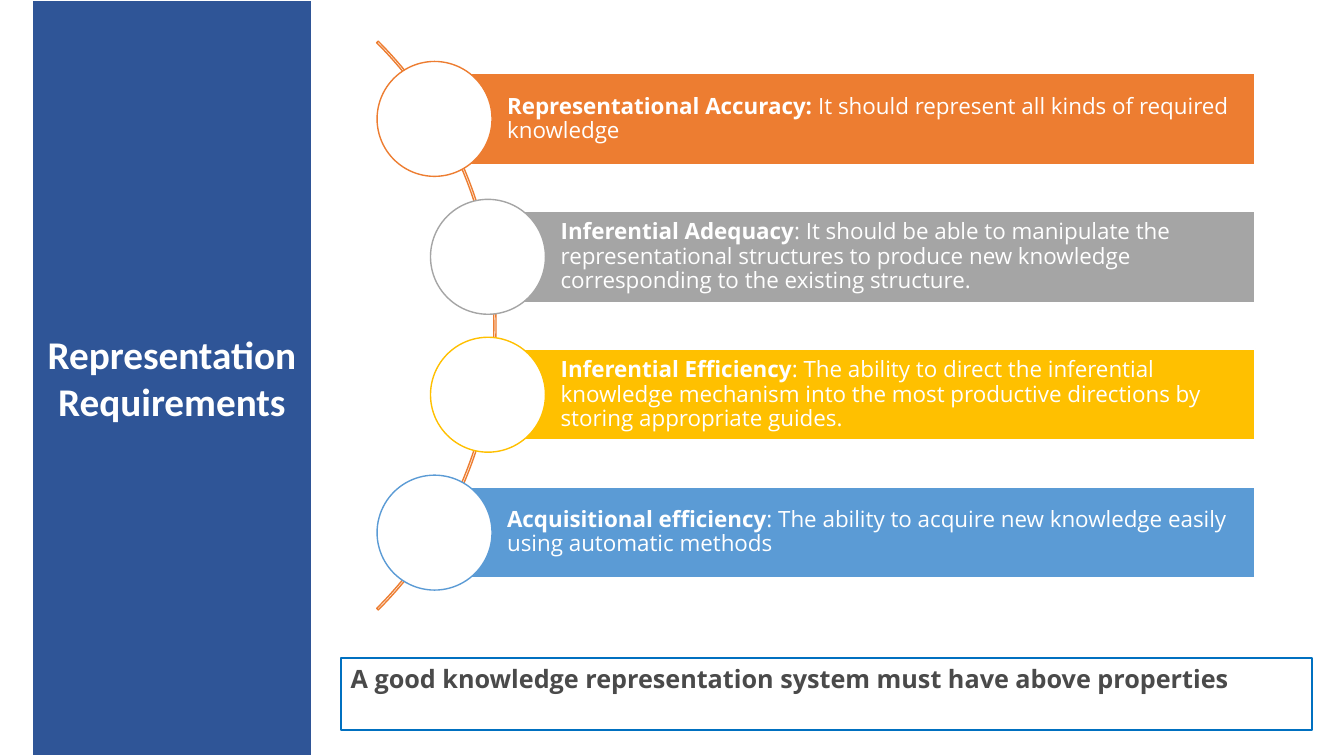
from pptx import Presentation
from pptx.dml.color import RGBColor
from pptx.enum.shapes import MSO_SHAPE
from pptx.enum.text import MSO_ANCHOR, MSO_AUTO_SIZE, PP_ALIGN
from pptx.util import Inches, Pt

RECT, OVAL, ARC = MSO_SHAPE.RECTANGLE, MSO_SHAPE.OVAL, MSO_SHAPE.BLOCK_ARC
MIDDLE = MSO_ANCHOR.MIDDLE
CENTER, JUSTIFY, LEFT = PP_ALIGN.CENTER, PP_ALIGN.JUSTIFY, PP_ALIGN.LEFT
FIT, GROW = MSO_AUTO_SIZE.TEXT_TO_FIT_SHAPE, MSO_AUTO_SIZE.SHAPE_TO_FIT_TEXT
WHITE = RGBColor(0xFF, 0xFF, 0xFF)
NAVY = RGBColor(0x2F, 0x55, 0x97)
BLUE = RGBColor(0x00, 0x70, 0xC0)
DARK = RGBColor(0x4A, 0x4A, 0x4A)
ORANGE = RGBColor(0xED, 0x7D, 0x31)
GRAY = RGBColor(0xA5, 0xA5, 0xA5)
GOLD = RGBColor(0xFF, 0xC0, 0x00)
SKY = RGBColor(0x5B, 0x9B, 0xD5)

prs = Presentation()
prs.slide_width, prs.slide_height = Inches(13.33), Inches(7.5)
s = prs.slides.add_slide(prs.slide_layouts[6])


def add_shape(kind, x, y, w, h, fill, line, width):
    sp = s.shapes.add_shape(kind, Inches(x), Inches(y), Inches(w), Inches(h))
    sp.shadow.inherit = False
    if fill is None:
        sp.fill.background()
    else:
        sp.fill.solid()
        sp.fill.fore_color.rgb = fill
    sp.line.color.rgb = line
    sp.line.width = Pt(width)
    return sp


def add_run(p, text, size, font, color, bold):
    r = p.add_run()
    r.text = text
    r.font.size, r.font.name, r.font.bold = Pt(size), font, bold
    r.font.color.rgb = color


PANEL_X, PANEL_W = 0.32, 2.77
add_shape(RECT, PANEL_X, 0, PANEL_W, 7.5, NAVY, WHITE, 1)
title = s.shapes.add_textbox(Inches(PANEL_X), Inches(3.23), Inches(PANEL_W), Inches(1.04))
tf = title.text_frame
tf.word_wrap, tf.auto_size = True, GROW
p = tf.paragraphs[0]
p.alignment = CENTER
add_run(p, "Representation Requirements", 28, "Calibri", WHITE, True)

sp = add_shape(RECT, 3.38, 6.53, 9.63, 0.71, None, BLUE, 1.5)
tf = sp.text_frame
tf.word_wrap, tf.auto_size, tf.vertical_anchor = True, GROW, MSO_ANCHOR.TOP
p = tf.paragraphs[0]
p.alignment = JUSTIFY
add_run(p, "A good knowledge representation system must have above properties",
        18, "Open Sans", DARK, True)

arc = add_shape(ARC, -3.06, -0.76, 7.98, 7.98, None, ORANGE, 1)
for i, value in enumerate((189, 27, 0.0027)):
    arc.adjustments[i] = value

REQUIREMENTS = [
    ("Representational Accuracy:", "\N{NO-BREAK SPACE}It should represent all kinds of required knowledge", ORANGE, 0),
    ("Inferential Adequacy", ": It should be able to manipulate the representational structures to produce new knowledge corresponding to the existing structure.", GRAY, 1),
    ("Inferential Efficiency", ": The ability to direct the inferential knowledge mechanism into the most productive directions by storing appropriate guides.", GOLD, 1),
    ("Acquisitional efficiency", ": The ability to acquire new knowledge easily using automatic methods", SKY, 0),
]
TOP, PITCH, INDENT, RIGHT = 1.18, 1.368, 0.53, 12.45
BAR_H, CIRCLE = 0.91, 1.14
for row, (name, meaning, color, level) in enumerate(REQUIREMENTS):
    x, y = 4.31 + level * INDENT, TOP + row * PITCH
    bar = add_shape(RECT, x, y - BAR_H / 2, RIGHT - x, BAR_H, color, WHITE, 1.5)
    tf = bar.text_frame
    tf.word_wrap, tf.auto_size, tf.vertical_anchor = True, FIT, MIDDLE
    tf.margin_left = Inches(0.72)
    tf.margin_right = tf.margin_top = tf.margin_bottom = Inches(0.04)
    p = tf.paragraphs[0]
    p.alignment, p.line_spacing = LEFT, 0.9
    add_run(p, name, 16, "Open Sans", WHITE, True)
    add_run(p, meaning, 16, "Open Sans", WHITE, False)
    add_shape(OVAL, x - CIRCLE / 2, y - CIRCLE / 2, CIRCLE, CIRCLE, WHITE, color, 1)

prs.save("out.pptx")
